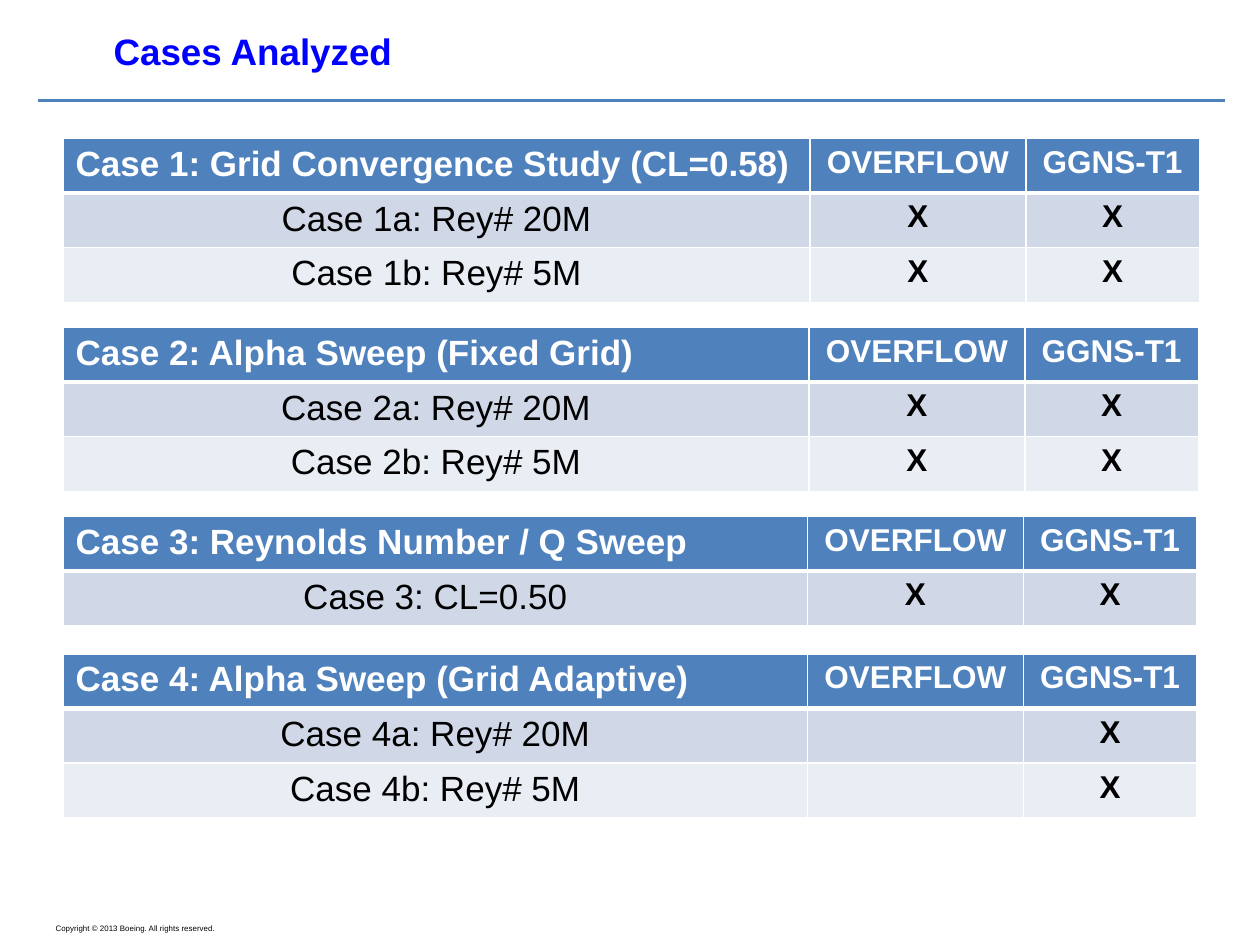
from dataclasses import dataclass

import pptx
import pptx.dml.color
import pptx.enum.shapes
import pptx.enum.text
import pptx.oxml
import pptx.oxml.ns
import pptx.util
from pptx.util import Cm


@dataclass(frozen=True)
class Theme:
    font: str = "Arial"
    title: str = "0000FF"
    accent: str = "4F81BD"
    bands: tuple = ("D0D8E8", "E9EDF4")
    white: str = "FFFFFF"
    black: str = "000000"
    title_pt: float = 21
    case_pt: float = 20
    mark_pt: float = 18
    footer_pt: float = 4.5


T = Theme()
RGB = pptx.dml.color.RGBColor.from_string
ALIGN = pptx.enum.text.PP_ALIGN


def put_text(tf, text, size, color=T.black, bold=False, align=ALIGN.LEFT, spacing=None):
    p = tf.paragraphs[0]
    p.alignment = align
    p.line_spacing = spacing
    r = p.add_run()
    r.text = text
    r.font.name = T.font
    r.font.size = pptx.util.Pt(size)
    r.font.bold = bold
    r.font.color.rgb = RGB(color)


def set_borders(cell, top=1, bottom=1):
    """Draw white borders; widths are in points and the sides are 1 pt."""
    tcPr = cell._tc.get_or_add_tcPr()
    for side, width in (("L", 1), ("R", 1), ("T", top), ("B", bottom)):
        tcPr.append(pptx.oxml.parse_xml(
            f'<a:ln{side} {pptx.oxml.ns.nsdecls("a")} w="{pptx.util.Pt(width)}">'
            f'<a:solidFill><a:srgbClr val="{T.white}"/></a:solidFill></a:ln{side}>'))


prs = pptx.Presentation()
prs.slide_width, prs.slide_height = Cm(25.4), Cm(19.05)
s = prs.slides.add_slide(prs.slide_layouts[6])

# Rule under the title
rule = s.shapes.add_connector(
    pptx.enum.shapes.MSO_CONNECTOR.STRAIGHT, Cm(0.76), Cm(2.03), Cm(24.69), Cm(2.03))
rule.line.color.rgb = RGB(T.accent)
rule.line.width = pptx.util.Pt(2)
rule._element.spPr.append(
    pptx.oxml.parse_xml(f'<a:effectLst {pptx.oxml.ns.nsdecls("a")}/>'))

# Title and copyright line
for box, text, style in (
    ((2.26, 0.66, 22.58, 1.24), "Cases Analyzed",
     dict(size=T.title_pt, color=T.title, bold=True, spacing=0.9)),
    ((1.09, 18.59, 7.44, 0.23), "Copyright © 2013 Boeing. All rights reserved.",
     dict(size=T.footer_pt)),
):
    tf = s.shapes.add_textbox(*map(Cm, box)).text_frame
    tf.word_wrap = True
    tf.margin_left = tf.margin_right = tf.margin_top = tf.margin_bottom = Cm(0.03)
    put_text(tf, text, **style)

# One table per case: heading, width of the first column, rows with their marks
SOLVERS = ("OVERFLOW", "GGNS-T1")
BOTH, ADAPTIVE_ONLY = ("X", "X"), ("", "X")
CASES = (
    ("Case 1: Grid Convergence Study (CL=0.58)", 15.06,
     (("Case 1a: Rey# 20M", *BOTH), ("Case 1b: Rey# 5M", *BOTH))),
    ("Case 2: Alpha Sweep (Fixed Grid)", 15.04,
     (("Case 2a: Rey# 20M", *BOTH), ("Case 2b: Rey# 5M", *BOTH))),
    ("Case 3: Reynolds Number / Q Sweep", 15.01,
     (("Case 3: CL=0.50", *BOTH),)),
    ("Case 4: Alpha Sweep (Grid Adaptive)", 15.01,
     (("Case 4a: Rey# 20M", *ADAPTIVE_ONLY), ("Case 4b: Rey# 5M", *ADAPTIVE_ONLY))),
)
ROW_H, GAP = 1.04, 0.69
top = 2.79

for heading, case_w, runs in CASES:
    rows = ((heading, *SOLVERS), *runs)
    widths = (case_w, 4.35, 3.5)
    height = ROW_H * len(rows)
    table = s.shapes.add_table(
        len(rows), len(widths), Cm(1.27), Cm(top), Cm(sum(widths)), Cm(height)).table
    for column, width in zip(table.columns, widths):
        column.width = Cm(width)
    for i, row in enumerate(rows):
        table.rows[i].height = Cm(ROW_H)
        header = i == 0
        for j, text in enumerate(row):
            cell = table.cell(i, j)
            set_borders(cell, top=3 if i == 1 else 1, bottom=3 if header else 1)
            cell.fill.solid()
            cell.fill.fore_color.rgb = RGB(T.accent if header else T.bands[(i - 1) % 2])
            if text:
                put_text(cell.text_frame, text,
                         size=T.mark_pt if j else T.case_pt,
                         color=T.white if header else T.black,
                         bold=header or j > 0,
                         align=ALIGN.LEFT if header and j == 0 else ALIGN.CENTER)
    top += height + GAP

prs.save("out.pptx")
